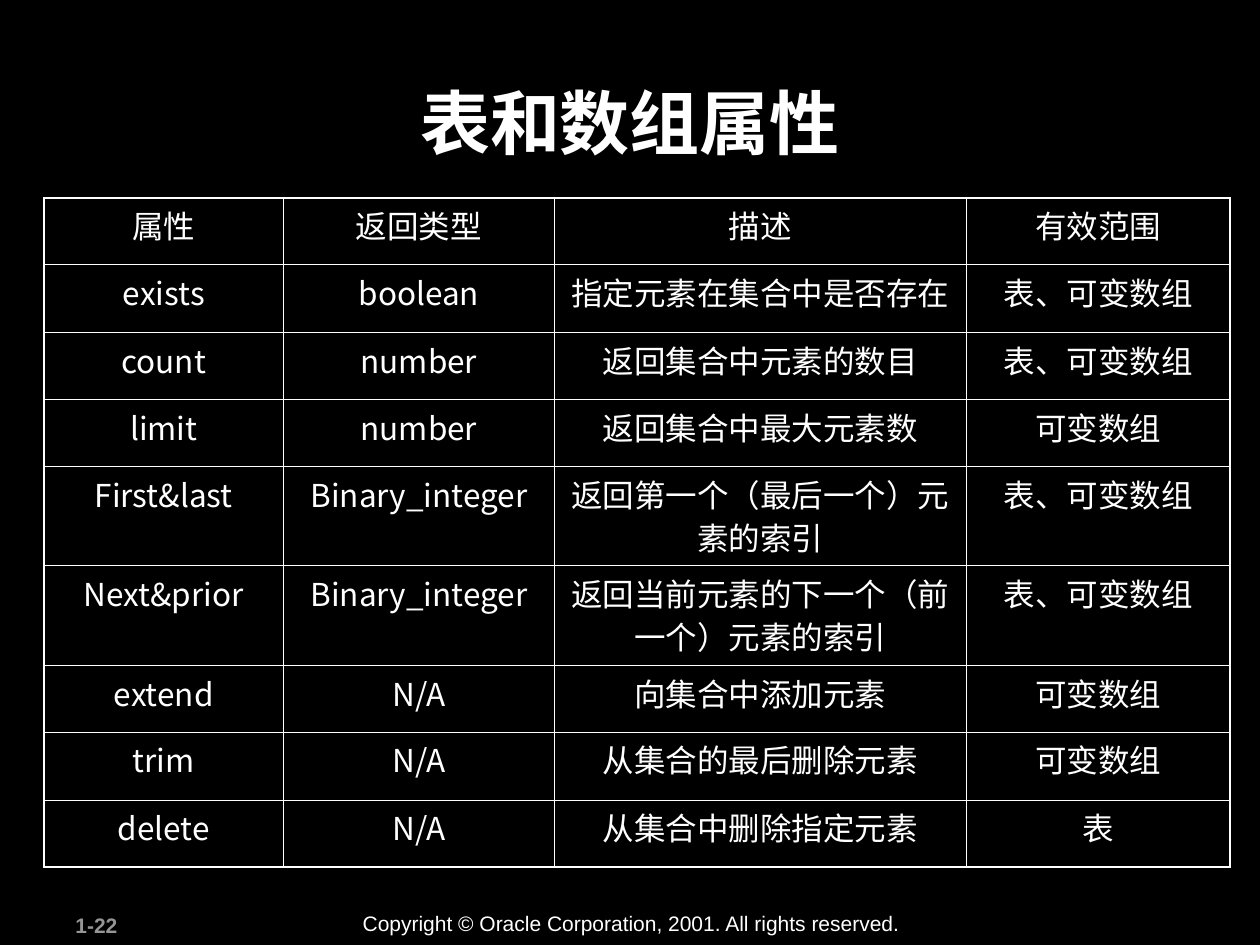
from lxml import etree
from pptx import Presentation
from pptx.dml.color import RGBColor
from pptx.enum.text import MSO_ANCHOR, MSO_AUTO_SIZE, PP_ALIGN
from pptx.oxml.ns import qn
from pptx.util import Inches, Pt

CENTER = PP_ALIGN.CENTER
TOP = MSO_ANCHOR.TOP
NO_FIT = MSO_AUTO_SIZE.NONE

COLORS = {"back": "000000", "text": "FFFFFF", "page": "969696", "line": "FFFFFF"}
LATIN, CJK = "Arial", "Noto Sans CJK SC"
THIN, THICK = Pt(0.45), Pt(1.08)

COLS = [1.9, 2.15, 3.27, 2.09]
# Rows five and six hold two lines of text
HIGHS = [0.53, 0.54, 0.53, 0.53, 0.79, 0.79, 0.53, 0.54, 0.53]
ROWS = [
    ("属性", "返回类型", "描述", "有效范围"),
    ("exists", "boolean", "指定元素在集合中是否存在", "表、可变数组"),
    ("count", "number", "返回集合中元素的数目", "表、可变数组"),
    ("limit", "number", "返回集合中最大元素数", "可变数组"),
    ("First&last", "Binary_integer", "返回第一个（最后一个）元素的索引", "表、可变数组"),
    ("Next&prior", "Binary_integer", "返回当前元素的下一个（前一个）元素的索引", "表、可变数组"),
    ("extend", "N/A", "向集合中添加元素", "可变数组"),
    ("trim", "N/A", "从集合的最后删除元素", "可变数组"),
    ("delete", "N/A", "从集合中删除指定元素", "表"),
]


def add_run(para, text, size, face, color="text", bold=False):
    run = para.add_run()
    run.text = text
    font = run.font
    font.size, font.name, font.bold = Pt(size), face, bold
    font.color.rgb = RGBColor.from_string(COLORS[color])
    # East Asian letters take their own font entry
    east = etree.SubElement(run._r.get_or_add_rPr(), qn("a:ea"))
    east.set("typeface", face)


def add_title(slide, box):
    title = slide.shapes.title
    title.left, title.top, title.width, title.height = map(Inches, box)
    frame = title.text_frame
    frame.auto_size, frame.vertical_anchor = NO_FIT, TOP
    para = frame.paragraphs[0]
    para.alignment, para.line_spacing = CENTER, 1.0
    add_run(para, " 表和数组属性", 40, CJK, bold=True)
    add_run(para, " ", 28, LATIN, bold=True)


def add_note(slide, box, text, color="text", bold=False):
    frame = slide.shapes.add_textbox(*map(Inches, box)).text_frame
    frame.word_wrap = True
    add_run(frame.paragraphs[0], text, 12, LATIN, color, bold)


def set_edge(cell, side, width):
    edge = etree.SubElement(cell._tc.get_or_add_tcPr(), qn("a:ln" + side))
    edge.set("w", str(int(width)))
    fill = etree.SubElement(edge, qn("a:solidFill"))
    etree.SubElement(fill, qn("a:srgbClr")).set("val", COLORS["line"])


def add_grid(slide, box):
    shape = slide.shapes.add_table(len(ROWS), len(COLS), *map(Inches, box))
    table = shape.table
    table.first_row = table.horz_banding = False
    for col, width in zip(table.columns, COLS):
        col.width = Inches(width)
    for row, high in zip(table.rows, HIGHS):
        row.height = Inches(high)
    for r, texts in enumerate(ROWS):
        for c, text in enumerate(texts):
            cell = table.cell(r, c)
            # Thick outer frame, thin inner lines
            outer = {"L": c == 0, "R": c == len(COLS) - 1,
                     "T": r == 0, "B": r == len(ROWS) - 1}
            for side, edge in outer.items():
                set_edge(cell, side, THICK if edge else THIN)
            cell.fill.background()
            cell.vertical_anchor = TOP
            para = cell.text_frame.paragraphs[0]
            para.alignment, para.line_spacing = CENTER, 0.95
            add_run(para, text, 18, CJK)


def main():
    deck = Presentation()
    deck.slide_width, deck.slide_height = Inches(10), Inches(7.5)
    slide = deck.slides.add_slide(deck.slide_layouts[5])
    back = slide.background.fill
    back.solid()
    back.fore_color.rgb = RGBColor.from_string(COLORS["back"])

    # Footer
    add_note(slide, (0.5, 7.19, 1.05, 0.3), "1-22", "page", True)
    add_note(slide, (2.78, 7.18, 4.48, 0.3),
             "Copyright © Oracle Corporation, 2001. All rights reserved.")
    # Title and table
    add_title(slide, (0.94, 0.58, 8.1, 0.96))
    add_grid(slide, (0.35, 1.57, sum(COLS), sum(HIGHS)))
    deck.save("out.pptx")


if __name__ == "__main__":
    main()
